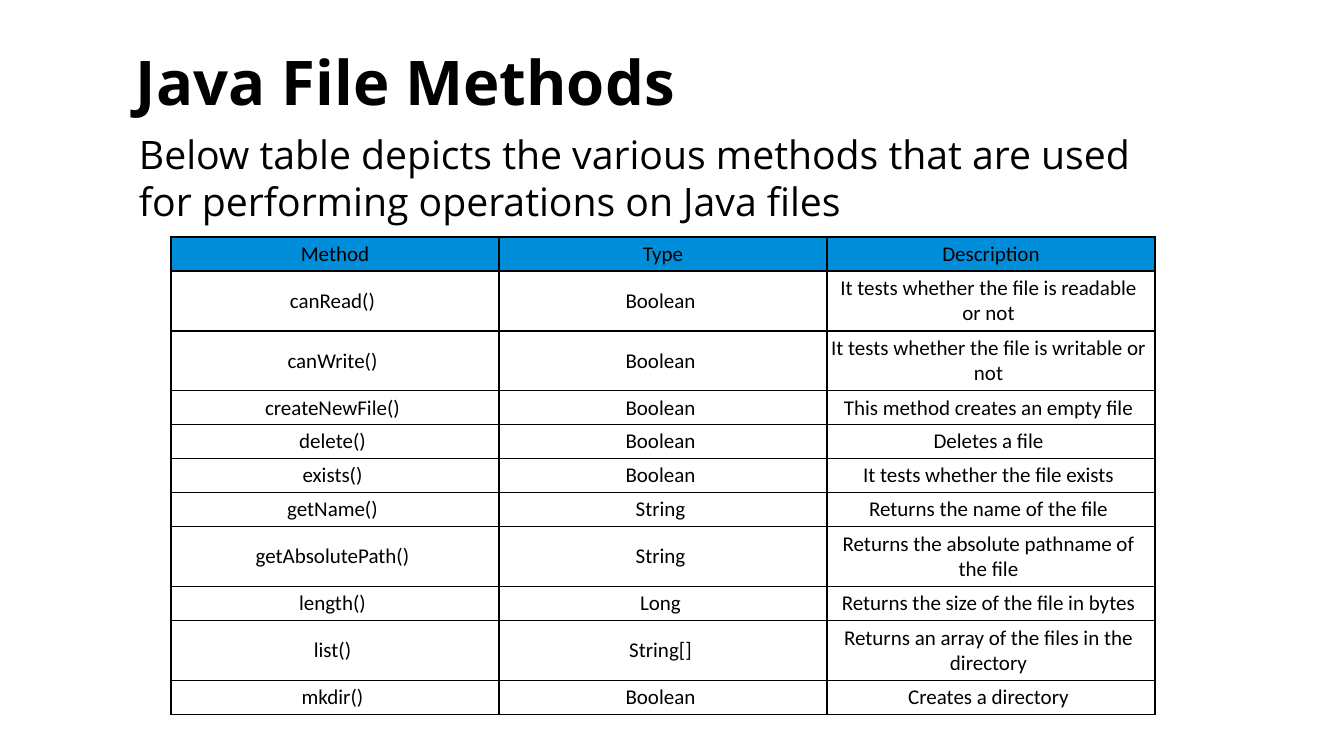
from dataclasses import dataclass
from typing import NamedTuple

from lxml.etree import SubElement
from pptx import Presentation
from pptx.dml.color import RGBColor
from pptx.enum.text import MSO_ANCHOR as Anchor, MSO_AUTO_SIZE as AutoSize, PP_ALIGN as Align
from pptx.oxml.ns import qn
from pptx.util import Emu, Pt

EMU_PER_PIXEL = 914400 / 100.8


@dataclass(frozen=True)
class Theme:
    text: str = "000000"
    border: str = "000000"
    header: str = "008DD9"
    heading_font: str = "Open Sans"
    table_font: str = "Calibri"
    title_size: int = 44
    intro_size: int = 28
    table_size: int = 15
    border_width: int = 1


class Box(NamedTuple):
    left: int
    top: int
    width: int
    height: int


class Method(NamedTuple):
    name: str
    type: str
    description: str
    height: int = 34


THEME = Theme()
TITLE_BOX = Box(126, 34, 1092, 103)
INTRO_BOX = Box(129, 125, 1049, 105)
TABLE_LEFT, TABLE_TOP, COLUMN_WIDTH = 171, 237, 328
TALL = 60
HEADER_INSET, BODY_INSET = 8, 3

ROWS = [
    Method("Method", "Type", "Description"),
    Method("canRead()", "Boolean", "It tests whether the file is readable or not", TALL),
    Method("canWrite()", "Boolean", "It tests whether the file is writable or not", TALL),
    Method("createNewFile()", "Boolean", "This method creates an empty file"),
    Method("delete()", "Boolean", "Deletes a file"),
    Method("exists()", "Boolean", "It tests whether the file exists"),
    Method("getName()", "String", "Returns the name of the file"),
    Method("getAbsolutePath()", "String", "Returns the absolute pathname of the file", TALL),
    Method("length()", "Long", "Returns the size of the file in bytes"),
    Method("list()", "String[]", "Returns an array of the files in the directory", TALL),
    Method("mkdir()", "Boolean", "Creates a directory"),
]


def px(pixels: int) -> Emu:
    return Emu(round(pixels * EMU_PER_PIXEL))


def write_text(frame, text: str, *, font: str, size: int, bold: bool = False,
               align=Align.LEFT, line_spacing: float = 1.0) -> None:
    paragraph = frame.paragraphs[0]
    paragraph.alignment = align
    paragraph.line_spacing = line_spacing
    run = paragraph.add_run()
    run.text = text
    run.font.name = font
    run.font.size = Pt(size)
    run.font.bold = bold
    run.font.color.rgb = RGBColor.from_string(THEME.text)


def add_text_box(slide, box: Box, text: str, *, anchor=Anchor.TOP,
                 auto_size=AutoSize.NONE, **text_format) -> None:
    frame = slide.shapes.add_textbox(*map(px, box)).text_frame
    frame.word_wrap = True
    frame.auto_size = auto_size
    frame.vertical_anchor = anchor
    write_text(frame, text, **text_format)


def add_borders(cell) -> None:
    properties = cell._tc.get_or_add_tcPr()
    for side in ("a:lnL", "a:lnR", "a:lnT", "a:lnB"):
        line = SubElement(properties, qn(side), w=str(Pt(THEME.border_width)))
        fill = SubElement(line, qn("a:solidFill"))
        SubElement(fill, qn("a:srgbClr"), val=THEME.border)


def format_cell(cell, text: str, is_header: bool) -> None:
    add_borders(cell)
    if is_header:
        cell.fill.solid()
        cell.fill.fore_color.rgb = RGBColor.from_string(THEME.header)
    else:
        cell.fill.background()
    cell.vertical_anchor = Anchor.MIDDLE
    cell.margin_left = px(HEADER_INSET if is_header else BODY_INSET)
    cell.margin_right = px(8)
    cell.margin_top = cell.margin_bottom = px(4)
    write_text(cell.text_frame, text, font=THEME.table_font,
               size=THEME.table_size, align=Align.CENTER)


def add_methods_table(slide, methods: list[Method]) -> None:
    box = Box(TABLE_LEFT, TABLE_TOP, 3 * COLUMN_WIDTH, sum(m.height for m in methods))
    table = slide.shapes.add_table(len(methods), 3, *map(px, box)).table
    table.first_row = table.horz_banding = False
    for column in table.columns:
        column.width = px(COLUMN_WIDTH)
    for index, (row, method) in enumerate(zip(table.rows, methods)):
        row.height = px(method.height)
        for cell, text in zip(row.cells, method[:3]):
            format_cell(cell, text, is_header=index == 0)


def main() -> None:
    presentation = Presentation()
    presentation.slide_width, presentation.slide_height = px(1344), px(756)
    slide = presentation.slides.add_slide(presentation.slide_layouts[6])
    add_text_box(slide, TITLE_BOX, "Java File Methods", anchor=Anchor.MIDDLE,
                 font=THEME.heading_font, size=THEME.title_size, bold=True, line_spacing=0.9)
    add_text_box(slide, INTRO_BOX,
                 "Below table depicts the various methods that are used "
                 "for performing operations on Java files",
                 auto_size=AutoSize.SHAPE_TO_FIT_TEXT,
                 font=THEME.heading_font, size=THEME.intro_size)
    add_methods_table(slide, ROWS)
    presentation.save("out.pptx")


main()
